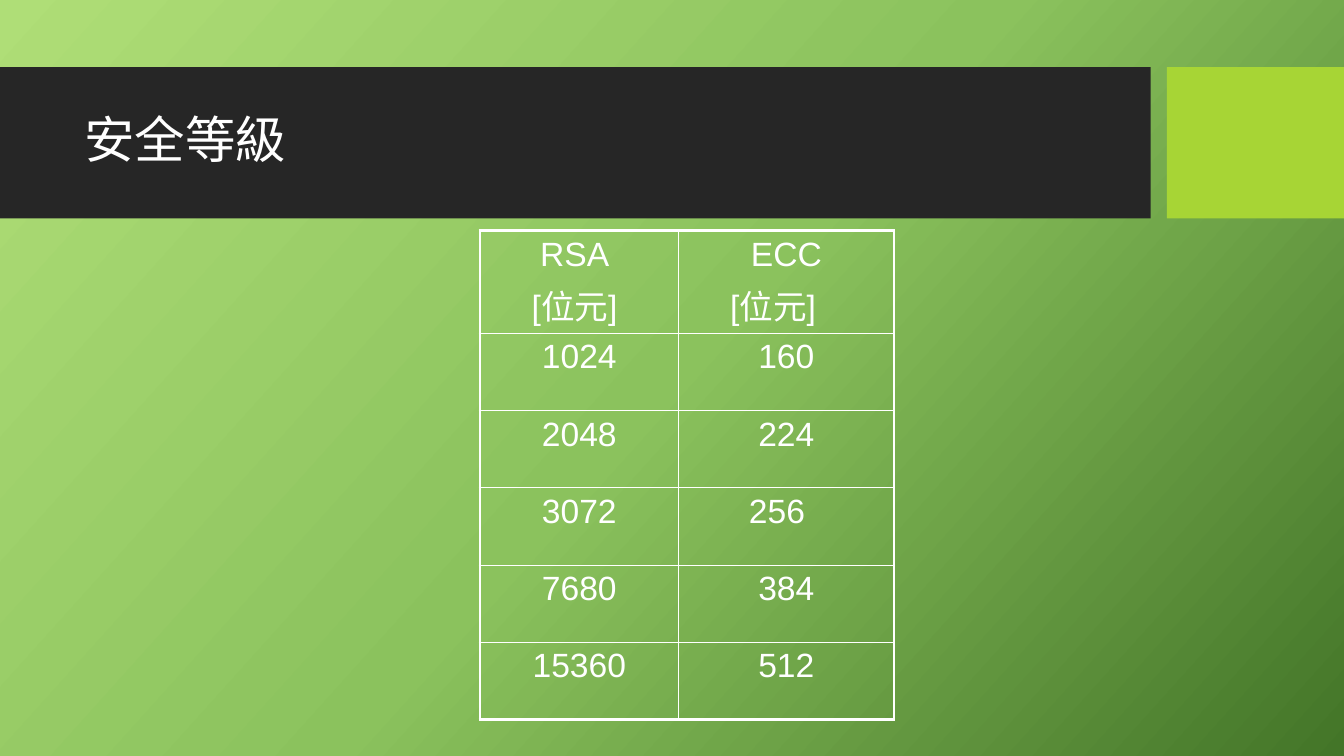
from copy import deepcopy
from dataclasses import dataclass

from lxml.etree import SubElement
from pptx import Presentation
from pptx.dml.color import RGBColor
from pptx.enum.shapes import MSO_SHAPE
from pptx.enum.text import MSO_ANCHOR, PP_ALIGN
from pptx.oxml.ns import qn
from pptx.util import Pt

# Content: each cell is its lines
TITLE = "安全等級"
ROWS = [
    (["RSA", "[位元]"], ["ECC", "[位元]"]),
    (["1024"], ["160"]),
    (["2048"], ["224"]),
    (["3072"], ["256"]),
    (["7680"], ["384"]),
    (["15360"], ["512"]),
]
# Extra right margin that moves a cell's centred text to the left
LEFT_SHIFT = {(0, 0): 6.7, (0, 1): 19, (3, 1): 13.4}
# Indent that brings a single line back to the centre: (row, column, line)
LINE_INDENT = {(0, 1, 0): 19}


@dataclass(frozen=True)
class Theme:
    white: str = "FFFFFF"
    band: str = "262626"
    accent: str = "A7D535"
    background: tuple = ((0, "AFDE77"), (0.5, "8BC25D"), (1, "437528"))
    title_font: str = "Karla"
    table_font: str = "Arial"
    title_size: float = 36
    table_size: float = 24
    thin: float = 1
    thick: float = 2.25


THEME = Theme()

# Layout in points
WIDTH, HEIGHT = 960, 540
BAND_TOP, BAND_HEIGHT = 48, 108
BAND_WIDTH, ACCENT_LEFT = 822, 833.5
TABLE_LEFT, TABLE_TOP = 342.9, 164.9
COLUMN_WIDTHS = (141.8, 154)
HEADER_HEIGHT, ROW_HEIGHT = 73.2, 55.2
MARGIN = 7.2


def paint_background(slide):
    fill = slide.background.fill
    fill.gradient()
    fill.gradient_angle = 360 - 42
    stops = fill.gradient_stops
    first = stops[0]._gs
    first.addnext(deepcopy(first))
    for stop, (position, color) in zip(fill.gradient_stops, THEME.background):
        stop.position = position
        stop.color.rgb = RGBColor.from_string(color)


def add_block(slide, left, width, color):
    shape = slide.shapes.add_shape(
        MSO_SHAPE.RECTANGLE, Pt(left), Pt(BAND_TOP), Pt(width), Pt(BAND_HEIGHT))
    shape.shadow.inherit = False
    shape.fill.solid()
    shape.fill.fore_color.rgb = RGBColor.from_string(color)
    shape.line.fill.background()


def add_run(paragraph, text, font, size):
    run = paragraph.add_run()
    run.text = text
    run.font.name = font
    run.font.size = Pt(size)
    run.font.color.rgb = RGBColor.from_string(THEME.white)


def add_title(slide):
    shape = slide.shapes.add_textbox(Pt(53.3), Pt(59), Pt(756.7), Pt(85))
    frame = shape.text_frame
    frame.word_wrap = True
    frame.vertical_anchor = MSO_ANCHOR.MIDDLE
    paragraph = frame.paragraphs[0]
    paragraph.line_spacing = 0.9
    add_run(paragraph, TITLE, THEME.title_font, THEME.title_size)


def set_borders(cell, outer_sides):
    properties = cell._tc.get_or_add_tcPr()
    for index, side in enumerate("LRTB"):
        width = THEME.thick if side in outer_sides else THEME.thin
        line = SubElement(properties, qn(f"a:ln{side}"), w=str(int(Pt(width))))
        fill = SubElement(line, qn("a:solidFill"))
        SubElement(fill, qn("a:srgbClr"), val=THEME.white)
        properties.insert(index, line)


def fill_cell(cell, lines, row, column):
    cell.fill.background()
    cell.margin_right = Pt(MARGIN + LEFT_SHIFT.get((row, column), 0))
    frame = cell.text_frame
    for number, text in enumerate(lines):
        paragraph = frame.add_paragraph() if number else frame.paragraphs[0]
        paragraph.alignment = PP_ALIGN.CENTER
        if number:
            paragraph.space_before = Pt(0.2 * THEME.table_size)
        indent = LINE_INDENT.get((row, column, number))
        if indent:
            paragraph._p.get_or_add_pPr().set("marL", str(int(Pt(indent))))
        add_run(paragraph, text, THEME.table_font, THEME.table_size)


def add_security_table(slide):
    heights = [HEADER_HEIGHT] + [ROW_HEIGHT] * (len(ROWS) - 1)
    table = slide.shapes.add_table(
        len(ROWS), len(COLUMN_WIDTHS), Pt(TABLE_LEFT), Pt(TABLE_TOP),
        Pt(sum(COLUMN_WIDTHS)), Pt(sum(heights))).table
    table.first_row = table.horz_banding = False
    for column, width in zip(table.columns, COLUMN_WIDTHS):
        column.width = Pt(width)
    for row, height in zip(table.rows, heights):
        row.height = Pt(height)
    last_row, last_column = len(ROWS) - 1, len(COLUMN_WIDTHS) - 1
    for row, cells in enumerate(ROWS):
        for column, lines in enumerate(cells):
            cell = table.cell(row, column)
            fill_cell(cell, lines, row, column)
            edges = {"L": column == 0, "R": column == last_column,
                     "T": row == 0, "B": row == last_row}
            set_borders(cell, [side for side, outer in edges.items() if outer])


def main():
    presentation = Presentation()
    presentation.slide_width, presentation.slide_height = Pt(WIDTH), Pt(HEIGHT)
    slide = presentation.slides.add_slide(presentation.slide_layouts[6])
    paint_background(slide)
    # Title band and accent block
    add_block(slide, 0, BAND_WIDTH, THEME.band)
    add_block(slide, ACCENT_LEFT, WIDTH - ACCENT_LEFT, THEME.accent)
    add_title(slide)
    # Key lengths
    add_security_table(slide)
    presentation.save("out.pptx")


if __name__ == "__main__":
    main()
